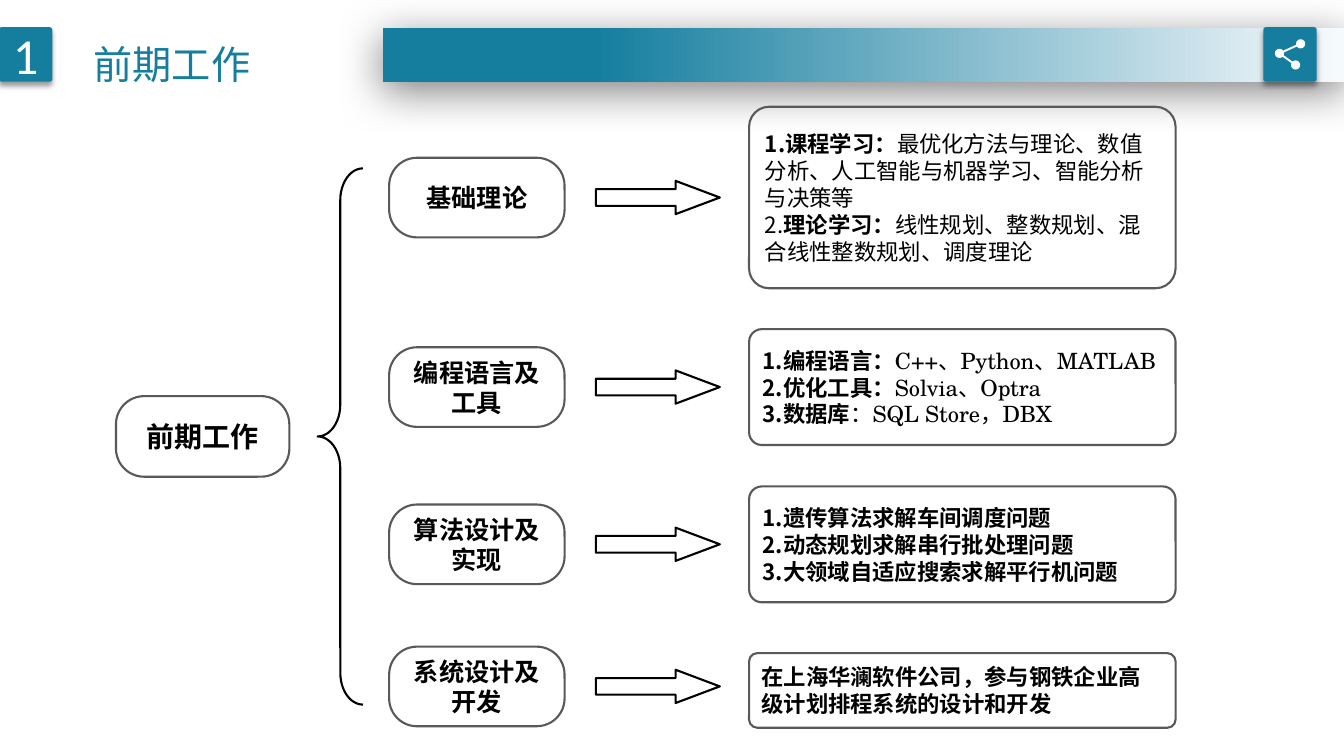
import math

import lxml.etree
import pptx
import pptx.dml.color
import pptx.enum.shapes
import pptx.enum.text
import pptx.oxml.ns
import pptx.util

COLORS = {"teal": "157E9F", "pale": "F7FAFD", "white": "FFFFFF", "black": "000000", "gray": "595959"}
SANS = "Noto Sans CJK SC"
SERIF = "TeX Gyre Schola"
SHAPES = pptx.enum.shapes.MSO_SHAPE
ALIGN = pptx.enum.text.PP_ALIGN
WIDTH, HEIGHT = pptx.util.Inches(13.33), pptx.util.Inches(7.5)
COLUMN, ROW = WIDTH / 133.3, HEIGHT / 75
TOPIC_LEFT, TOPIC_WIDTH, TOPIC_HEIGHT = 38.6, 17.4, 7.9
ARROW_LEFT, ARROW_WIDTH, ARROW_HEIGHT = 59.1, 12.3, 3.3
DETAIL_LEFT, DETAIL_WIDTH = 74.3, 42.3

BRANCHES = [
    (19.6, 19.6, 18, "基础理论", [
        [("1.课程学习：", True, SANS), ("最优化方法与理论、数值分析、人工智能与机器学习、智能分析与决策等", False, SANS)],
        [("2.", False, SANS), ("理论学习：", True, SANS), ("线性规划、整数规划、混合线性整数规划、调度理论", False, SANS)],
    ]),
    (38.4, 38.4, 11.5, "编程语言及工具", [
        [("1.编程语言：", True, SANS), ("C++、Python、MATLAB", False, SERIF)],
        [("2.优化工具：", True, SANS), ("Solvia、Optra", False, SERIF)],
        [("3.数据库", True, SANS), ("：", False, SANS), ("SQL Store，DBX", False, SERIF)],
    ]),
    (54, 54, 11.5, "算法设计及实现", [
        [("1.遗传算法求解车间调度问题", True, SANS)],
        [("2.动态规划求解串行批处理问题", True, SANS)],
        [("3.大领域自适应搜索求解平行机问题", True, SANS)],
    ]),
    (68.1, 68.5, 7.4, "系统设计及开发", [
        [("在上海华澜软件公司，参与钢铁企业高级计划排程系统的设计和开发", True, SANS)],
    ]),
]


def rgb(name):
    """Return a named colour."""
    return pptx.dml.color.RGBColor.from_string(COLORS[name])


def grid_frame(left, top, width, height):
    """Turn grid columns and rows into slide lengths."""
    return round(left * COLUMN), round(top * ROW), round(width * COLUMN), round(height * ROW)


def add_outlined(slide, kind, frame, adjustments, line="black"):
    """Add an unfilled outlined shape."""
    shape = slide.shapes.add_shape(kind, *grid_frame(*frame))
    for index, value in enumerate(adjustments):
        shape.adjustments[index] = value
    shape.shadow.inherit = False
    shape.fill.background()
    shape.line.color.rgb = rgb(line)
    shape.line.width = pptx.util.Pt(1.5)
    return shape


def add_shadow(shape, blur, distance, angle, alpha):
    """Give a shape a soft black outer shadow."""
    shape.shadow.inherit = False
    effects = shape._element.spPr.find(pptx.oxml.ns.qn("a:effectLst"))
    shadow = lxml.etree.SubElement(
        effects, pptx.oxml.ns.qn("a:outerShdw"), blurRad=str(pptx.util.Pt(blur)),
        dist=str(pptx.util.Pt(distance)), dir=str(angle * 60000), algn="ctr", rotWithShape="0")
    color = lxml.etree.SubElement(shadow, pptx.oxml.ns.qn("a:srgbClr"), val=COLORS["black"])
    lxml.etree.SubElement(color, pptx.oxml.ns.qn("a:alpha"), val=str(alpha * 1000))


def style_font(font, name, size, color):
    """Set the face, size and colour of a font, for East Asian text too."""
    font.name = name
    font.size = pptx.util.Pt(size)
    font.color.rgb = rgb(color)
    lxml.etree.SubElement(font._element if hasattr(font, "_element") else font._rPr,
                          pptx.oxml.ns.qn("a:ea"), typeface=SANS)


def write_text(shape, paragraphs, size, color="black", name=SANS, align=ALIGN.CENTER):
    """Fill a shape with paragraphs made of (text, bold, face) runs."""
    frame = shape.text_frame
    frame.word_wrap = True
    frame.vertical_anchor = pptx.enum.text.MSO_ANCHOR.MIDDLE
    for index, runs in enumerate(paragraphs):
        para = frame.add_paragraph() if index else frame.paragraphs[0]
        para.alignment = align
        style_font(para.font, name, size, color)
        for text, bold, face in runs:
            span = para.add_run()
            span.text = text
            span.font.bold = bold
            if face != name:
                span.font.name = face


def add_topic(slide, frame, text, size):
    """Add a rounded box with a bold centred label."""
    box = add_outlined(slide, SHAPES.ROUNDED_RECTANGLE, frame, [0.35], "gray")
    write_text(box, [[(text, True, SANS)]], size)


def add_branch(slide, middle, detail_middle, detail_height, topic, details):
    """Add a topic, its arrow and its detail box."""
    add_topic(slide, (TOPIC_LEFT, middle - TOPIC_HEIGHT / 2, TOPIC_WIDTH, TOPIC_HEIGHT), topic, 18)
    add_outlined(slide, SHAPES.RIGHT_ARROW,
                 (ARROW_LEFT, middle - ARROW_HEIGHT / 2, ARROW_WIDTH, ARROW_HEIGHT), [0.5, 1.33])
    box = add_outlined(slide, SHAPES.ROUNDED_RECTANGLE,
                       (DETAIL_LEFT, detail_middle - detail_height / 2, DETAIL_WIDTH, detail_height),
                       [0.11], "gray")
    write_text(box, details, 16, align=ALIGN.LEFT)


def add_tile(slide, left):
    """Add a teal header tile."""
    tile = slide.shapes.add_shape(SHAPES.ROUNDED_RECTANGLE, *grid_frame(left, 2.7, 5.3, 5.4))
    tile.adjustments[0] = 0.05
    tile.fill.solid()
    tile.fill.fore_color.rgb = rgb("teal")
    tile.line.fill.background()
    add_shadow(tile, 4, 3, 90, 40)
    return tile


def add_header_bar(slide):
    """Add the bar that fades out to the right."""
    bar = slide.shapes.add_shape(SHAPES.RECTANGLE, *grid_frame(38, 2.8, 95.3, 5.3))
    bar.fill.gradient()
    bar.fill.gradient_angle = 180
    for stop, color, position in zip(bar.fill.gradient_stops, ("pale", "teal"), (0, 0.78)):
        stop.color.rgb = rgb(color)
        stop.position = position
    bar.line.fill.background()
    add_shadow(bar, 31, 6, 97, 50)


def arc(center, start, end, radius=0.45, steps=24):
    """Return slide points along a clockwise arc."""
    angles = [math.radians(start + (end - start) * step / steps) for step in range(steps + 1)]
    return [((center[0] + radius * math.cos(angle)) * COLUMN,
             (center[1] + radius * math.sin(angle)) * ROW) for angle in angles]


def add_share_icon(slide):
    """Add three linked dots as one white outline."""
    hub, upper, lower = (126.9, 5.3), (129, 4.35), (128.5, 6.45)
    to_upper, to_lower = (math.degrees(math.atan2(dot[1] - hub[1], dot[0] - hub[0]))
                          for dot in (upper, lower))
    half = 12
    points = (arc(upper, to_upper + 180 + half, to_upper + 540 - half)
              + arc(hub, to_upper + half, to_lower - half)
              + arc(lower, to_lower + 180 + half, to_lower + 540 - half)
              + arc(hub, to_lower + half, to_upper + 360 - half))
    builder = slide.shapes.build_freeform(*points[0])
    builder.add_line_segments(points[1:], close=True)
    icon = builder.convert_to_shape()
    icon.shadow.inherit = False
    icon.fill.solid()
    icon.fill.fore_color.rgb = rgb("white")
    icon.line.fill.background()


def add_title(slide, text):
    """Add the slide title."""
    box = slide.shapes.add_textbox(*grid_frame(8.3, 1.2, 17.7, 7.3))
    box.text_frame.word_wrap = False
    box.text_frame.auto_size = pptx.enum.text.MSO_AUTO_SIZE.SHAPE_TO_FIT_TEXT
    para = box.text_frame.paragraphs[0]
    para.line_spacing = 1.5
    style_font(para.font, SANS, 28, "teal")
    para.add_run().text = text


def main():
    """Build and save the slide."""
    deck = pptx.Presentation()
    deck.slide_width, deck.slide_height = WIDTH, HEIGHT
    page = deck.slides.add_slide(deck.slide_layouts[6])
    add_header_bar(page)
    write_text(add_tile(page, -0.1), [[("1", False, "Calibri")]], 36, "white", "Calibri")
    add_tile(page, 125.3)
    add_share_icon(page)
    add_title(page, "前期工作")
    add_topic(page, (11.5, 39.3, 17.2, 8), "前期工作", 20)
    add_outlined(page, SHAPES.LEFT_BRACE, (31.5, 16.7, 4.5, 53.2), [0.7, 0.5])
    for branch in BRANCHES:
        add_branch(page, *branch)
    deck.save("out.pptx")


if __name__ == "__main__":
    main()
